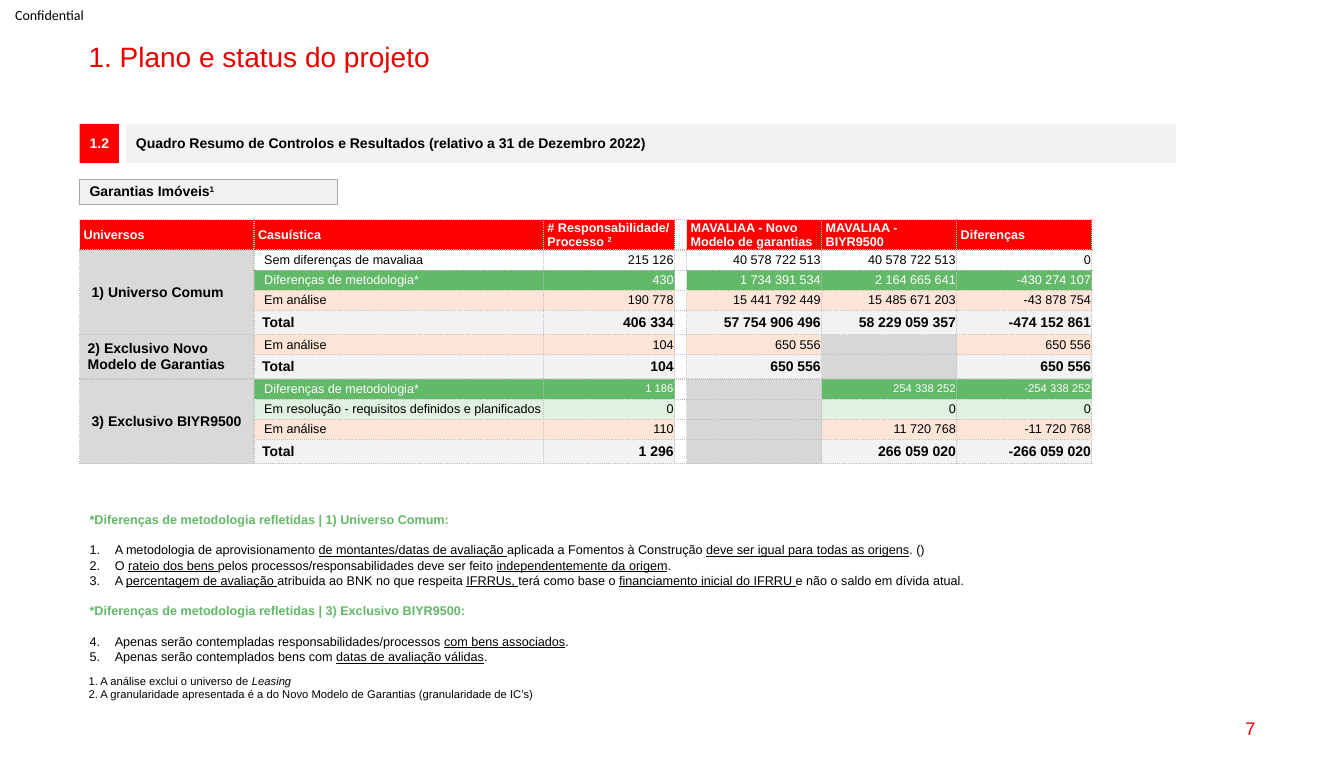
from lxml import etree
from pptx import Presentation
from pptx.dml.color import RGBColor
from pptx.enum.shapes import MSO_SHAPE
from pptx.enum.text import MSO_ANCHOR, PP_ALIGN
from pptx.oxml.ns import qn
from pptx.util import Inches, Pt

RECTANGLE = MSO_SHAPE.RECTANGLE
TOP, MIDDLE = MSO_ANCHOR.TOP, MSO_ANCHOR.MIDDLE
LEFT, CENTER, RIGHT = PP_ALIGN.LEFT, PP_ALIGN.CENTER, PP_ALIGN.RIGHT

WIDTH, HEIGHT = 13.33, 7.76
MARGIN = 0.79
BAND = 0.39
BLACK, WHITE, RED, DARK_RED = "000000", "FFFFFF", "FF0000", "EB0000"
GREEN, PALE_GREEN, PEACH = "62B967", "E0F1E1", "FCE4D6"
LIGHT, UNIVERSE_GREY, BLOCKED_GREY, DOTS = "F2F2F2", "D9D9D9", "D7D7D7", "BFBFBF"

COLUMNS = [1.73, 2.87, 1.3, 0.12, 1.34, 1.34, 1.34]
GAP_COLUMN = 3
HEADER_HEIGHT, ROW_HEIGHT, TOTAL_HEIGHT = 0.28, 0.2, 0.24
HEADERS = ["Universos", "Casuística", "# Responsabilidade/\nProcesso _2_", "",
           "MAVALIAA - Novo Modelo de garantias", "MAVALIAA - BIYR9500", "Diferenças"]

# Row kind: fill, text colour, label size, value size, bold, label inset
KINDS = {
    "plain": (None, BLACK, 9, 9, False, 0.1),
    "method": (GREEN, WHITE, 9, 9, False, 0.1),
    "small method": (GREEN, WHITE, 9, 8, False, 0.1),
    "analysis": (PEACH, BLACK, 9, 9, False, 0.1),
    "resolution": (PALE_GREEN, BLACK, 9, 9, False, 0.1),
    "total": (LIGHT, BLACK, 10, 10, True, 0.08),
}
# Universe, inset, rows of (kind, label, values); None is a blocked cell
UNIVERSES = [
    ("1) Universo Comum", 0.12, [
        ("plain", "Sem diferenças de mavaliaa", ["215 126", "40 578 722 513", "40 578 722 513", "0"]),
        ("method", "Diferenças de metodologia*", ["430", "1 734 391 534", "2 164 665 641", "-430 274 107"]),
        ("analysis", "Em análise", ["190 778", "15 441 792 449", "15 485 671 203", "-43 878 754"]),
        ("total", "Total", ["406 334", "57 754 906 496", "58 229 059 357", "-474 152 861"])]),
    ("2) Exclusivo Novo\nModelo de Garantias", 0.08, [
        ("analysis", "Em análise", ["104", "650 556", None, "650 556"]),
        ("total", "Total", ["104", "650 556", None, "650 556"])]),
    ("3) Exclusivo BIYR9500", 0.12, [
        ("small method", "Diferenças de metodologia*", ["1 186", None, "254 338 252", "-254 338 252"]),
        ("resolution", "Em resolução - requisitos definidos e planificados", ["0", None, "0", "0"]),
        ("analysis", "Em análise", ["110", None, "11 720 768", "-11 720 768"]),
        ("total", "Total", ["1 296", None, "266 059 020", "-266 059 020"])]),
]
# Underscores enclose underlined words
METHOD_NOTES = [
    ("*Diferenças de metodologia refletidas | 1) Universo Comum:", [
        "A metodologia de aprovisionamento _de montantes/datas de avaliação _aplicada a "
        "Fomentos à Construção _deve ser igual para todas as origens_. ()",
        "O _rateio dos bens _pelos processos/responsabilidades deve ser feito "
        "_independentemente da origem_.",
        "A _percentagem de avaliação _atribuida ao BNK no que respeita _IFRRUs, _terá como base o "
        "_financiamento inicial do IFRRU _e não o saldo em dívida atual."]),
    ("*Diferenças de metodologia refletidas | 3) Exclusivo BIYR9500:", [
        "Apenas serão contempladas responsabilidades/processos _com bens associados_.",
        "Apenas serão contemplados bens com _datas de avaliação válidas_."]),
]
FOOTNOTES = ("1. A análise exclui o universo de _Leasing_\n"
             "2. A granularidade apresentada é a do Novo Modelo de Garantias (granularidade de IC’s)")


def rgb(value):
    return RGBColor.from_string(value)


def add_runs(paragraph, text, size, color, bold=False, font="Arial", emphasis="superscript"):
    """Every second part between underscores takes the emphasis."""
    for index, part in enumerate(text.split("_")):
        if not part:
            continue
        run = paragraph.add_run()
        run.text = part
        run.font.name, run.font.size, run.font.bold = font, Pt(size), bold
        run.font.color.rgb = rgb(color)
        if index % 2 and emphasis == "superscript":
            run.font._element.set("baseline", "30000")
        elif index % 2:
            setattr(run.font, emphasis, True)


def write(frame, text, size, color, align=LEFT, spacing=None, **style):
    for index, line in enumerate(text.split("\n")):
        paragraph = frame.add_paragraph() if index else frame.paragraphs[0]
        paragraph.alignment = align
        if spacing:
            paragraph.line_spacing = spacing
        add_runs(paragraph, line, size, color, **style)


def add_text(slide, box, text, size, color, anchor=TOP, inset=None, wrap=True, **style):
    frame = slide.shapes.add_textbox(*map(Inches, box)).text_frame
    frame.word_wrap, frame.vertical_anchor = wrap, anchor
    if inset is not None:
        frame.margin_left = frame.margin_right = frame.margin_top = frame.margin_bottom = Inches(inset)
    write(frame, text, size, color, **style)


def add_label(slide, box, text, fill, color=BLACK, line=None, align=LEFT):
    shape = slide.shapes.add_shape(RECTANGLE, *map(Inches, box))
    shape.shadow.inherit = False
    shape.fill.solid()
    shape.fill.fore_color.rgb = rgb(fill)
    if line:
        shape.line.color.rgb, shape.line.width = rgb(line), Pt(0.75)
    else:
        shape.line.fill.background()
    shape.text_frame.word_wrap, shape.text_frame.vertical_anchor = True, MIDDLE
    write(shape.text_frame, text, 10, color, align, 0.9, bold=True)


def add_section_heading(slide, box):
    left, top, width, height = box
    offset = height + 0.07
    add_label(slide, (left, top, height, height), "1.2", RED, WHITE, align=CENTER)
    add_label(slide, (left + offset, top, width - offset, height),
              "Quadro Resumo de Controlos e Resultados (relativo a 31 de Dezembro 2022)", LIGHT)


def set_cell(cell, text="", fill=None, color=BLACK, size=9, bold=False, inset=0.01, right=0.01, align=LEFT):
    cell.margin_left, cell.margin_right = Inches(inset), Inches(right)
    cell.margin_top = cell.margin_bottom = 0
    cell.vertical_anchor = MIDDLE
    properties = cell._tc.get_or_add_tcPr()
    for side in ("a:lnL", "a:lnR", "a:lnT", "a:lnB"):
        border = etree.SubElement(properties, qn(side), w="12700")
        paint = etree.SubElement(border, qn("a:solidFill"))
        etree.SubElement(paint, qn("a:srgbClr"), val=DOTS)
        etree.SubElement(border, qn("a:prstDash"), val="sysDot")
    if fill:
        cell.fill.solid()
        cell.fill.fore_color.rgb = rgb(fill)
    else:
        cell.fill.background()
    if text:
        write(cell.text_frame, text, size, color, align, bold=bold)
    else:
        cell.text_frame.paragraphs[0]._p.get_or_add_endParaRPr().set("sz", "800")


def add_results_table(slide, left, top):
    rows = [row for universe in UNIVERSES for row in universe[2]]
    heights = [HEADER_HEIGHT] + [TOTAL_HEIGHT if row[0] == "total" else ROW_HEIGHT for row in rows]
    box = (left, top, sum(COLUMNS), sum(heights))
    table = slide.shapes.add_table(len(heights), len(COLUMNS), *map(Inches, box)).table
    table.first_row = table.horz_banding = False
    for column, width in zip(table.columns, COLUMNS):
        column.width = Inches(width)
    for row, height in zip(table.rows, heights):
        row.height = Inches(height)

    # Header row
    for index, header in enumerate(HEADERS):
        set_cell(table.cell(0, index), header, RED if header else None, WHITE, 9, True, 0.04, 0.04)

    # One block of rows for each universe
    number = 1
    for universe, inset, universe_rows in UNIVERSES:
        first = number
        for kind, label, values in universe_rows:
            fill, color, label_size, value_size, bold, label_inset = KINDS[kind]
            name = universe if number == first else ""
            set_cell(table.cell(number, 0), name, UNIVERSE_GREY, size=10, bold=True, inset=inset)
            set_cell(table.cell(number, 1), label, fill, color, label_size, bold, label_inset)
            set_cell(table.cell(number, GAP_COLUMN))
            for column, value in zip((2, 4, 5, 6), values):
                set_cell(table.cell(number, column), value, fill if value else BLOCKED_GREY,
                         color, value_size, bold, align=RIGHT)
            number += 1
        table.cell(first, 0).merge(table.cell(number - 1, 0))


def add_method_notes(slide, box):
    frame = slide.shapes.add_textbox(*map(Inches, box)).text_frame
    frame.word_wrap = True
    start = 1
    for heading, notes in METHOD_NOTES:
        paragraph = frame.paragraphs[0] if start == 1 else frame.add_paragraph()
        if start > 1:
            paragraph.space_before = Pt(11)
        add_runs(paragraph, heading, 9, GREEN, bold=True)
        for index, note in enumerate(notes):
            paragraph = frame.add_paragraph()
            if index == 0:
                paragraph.space_before = Pt(11)
            properties = paragraph._p.get_or_add_pPr()
            properties.set("marL", str(Inches(0.25)))
            properties.set("indent", str(-Inches(0.25)))
            etree.SubElement(properties, qn("a:buFont"), typeface="+mj-lt")
            etree.SubElement(properties, qn("a:buAutoNum"), type="arabicPeriod", startAt=str(start))
            add_runs(paragraph, note, 9, BLACK, emphasis="underline")
        start += len(notes)


def main():
    presentation = Presentation()
    presentation.slide_width, presentation.slide_height = Inches(WIDTH), Inches(HEIGHT)
    slide = presentation.slides.add_slide(presentation.slide_layouts[6])

    # Page frame
    add_text(slide, (0, 0, 0.99, 0.29), "Confidential", 10, BLACK, MIDDLE, 0, font="Calibri")
    # The classification label sits 0.15 in from the edge through its own box
    slide.shapes[0].left = Inches(0.15)
    add_text(slide, (0.78, 0.38, 11.77, 0.34), "1. Plano e status do projeto", 20, DARK_RED, spacing=0.9)
    add_text(slide, (9.55, 7.02, 3, 0.41), "7", 13, DARK_RED, MIDDLE, align=RIGHT)

    # Section and table
    add_section_heading(slide, (MARGIN, 1.23, 10.87, BAND))
    add_label(slide, (MARGIN, 1.78, 2.56, 0.25), "Garantias Imóveis_1_", LIGHT, line="A6A6A6")
    add_results_table(slide, MARGIN, 2.18)

    # Notes
    add_method_notes(slide, (MARGIN, 5.03, 10.55, 1.5))
    add_text(slide, (0.78, 6.64, 4.75, 0.37), FOOTNOTES, 8, BLACK, wrap=False, emphasis="italic")

    presentation.save("out.pptx")


if __name__ == "__main__":
    main()
